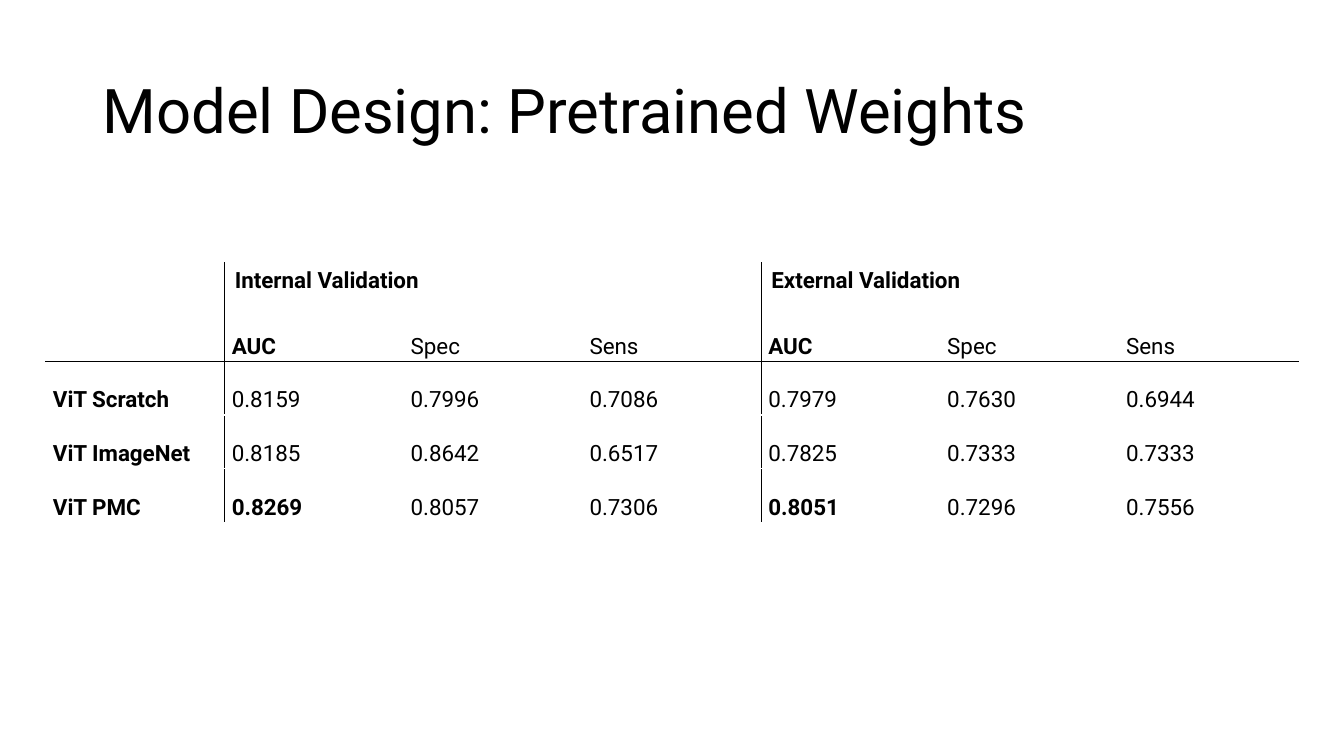
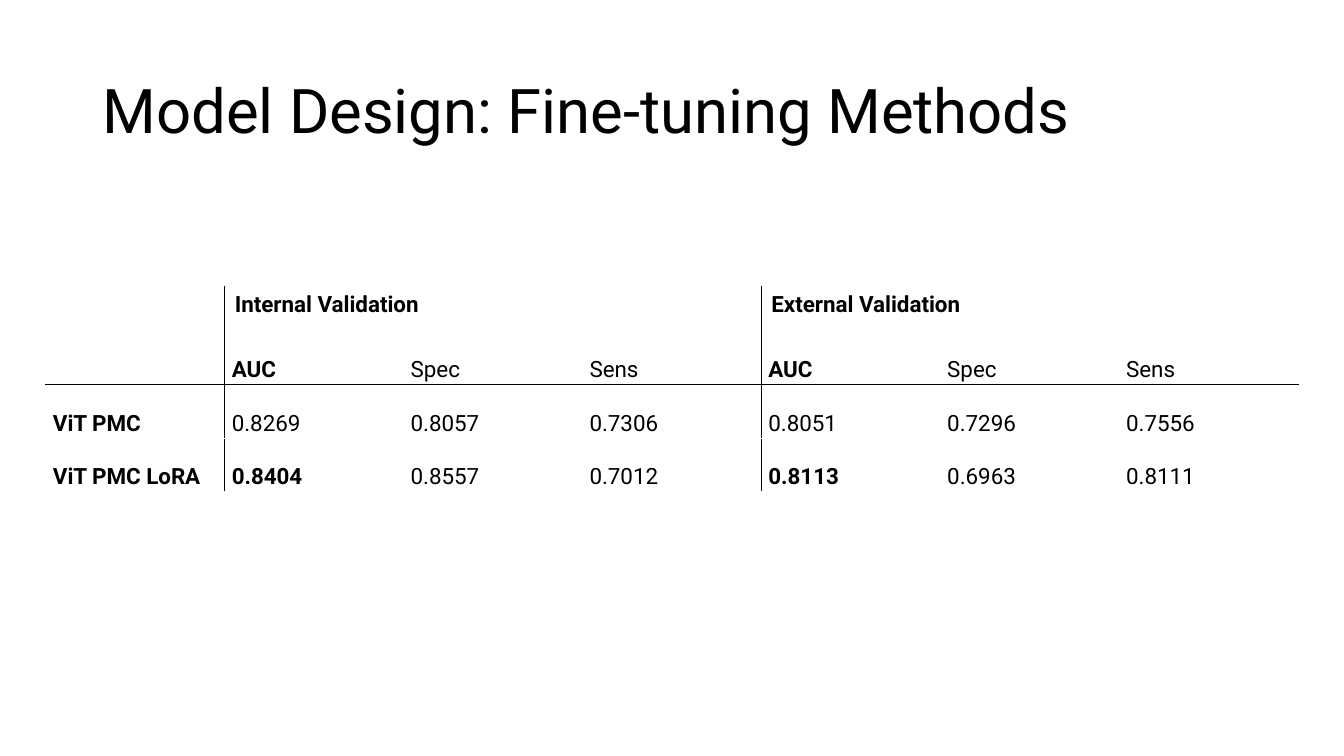
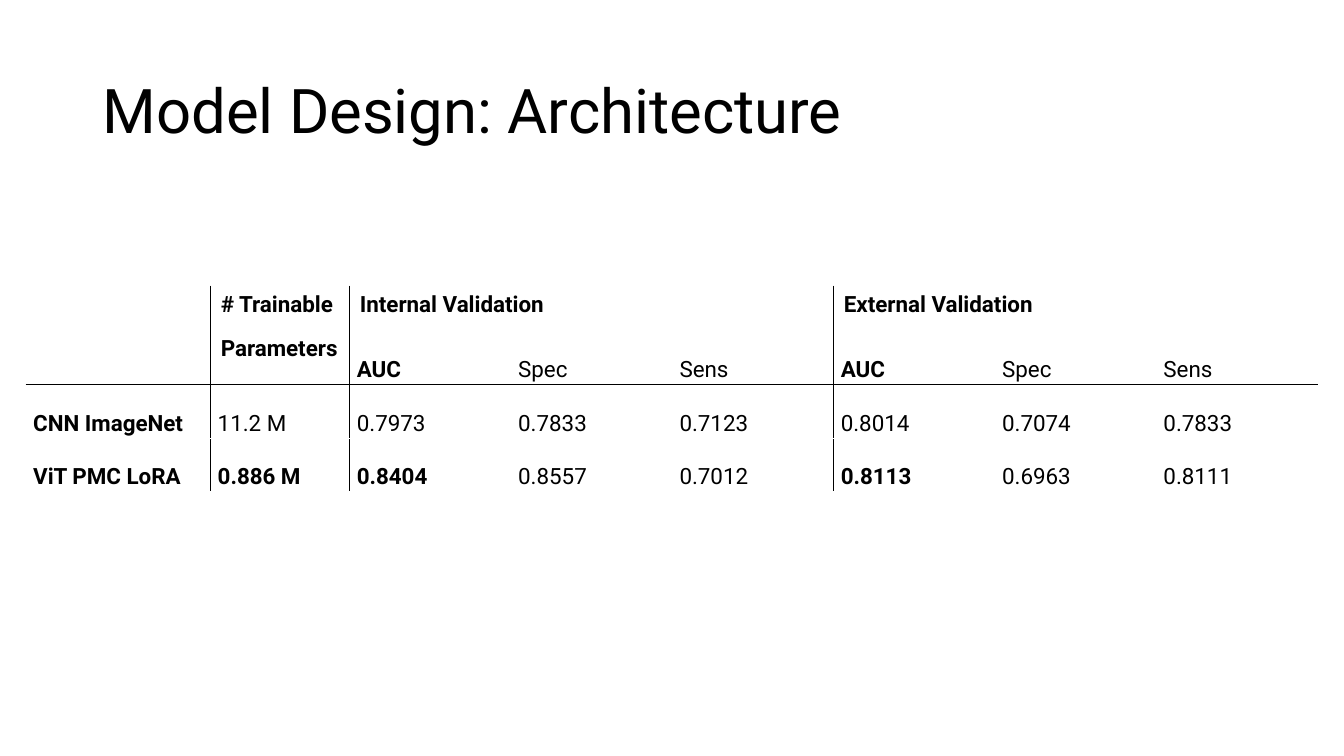
from lxml.etree import SubElement
from pptx import Presentation
from pptx.dml.color import RGBColor
from pptx.enum.text import MSO_ANCHOR, PP_ALIGN
from pptx.oxml.ns import qn
from pptx.util import Inches, Pt

WIDTH, HEIGHT = 13.33, 7.5
COLORS = {"ink": "000000", "paper": "FFFFFF"}
FONT = "Roboto"
ROW_HEIGHT = 0.44
NO_GRID_STYLE = "{2D5ABB26-0587-4C30-8999-92F81FD0307C}"
METRICS = ["AUC", "Spec", "Sens"]
KEY_COLUMNS = ("AUC", "Parameters")  # the best (last) row is bold here

# Each page: title, table top, label column widths, label headings, results
EQUAL = 12.42 / 7
PAGES = [
    ("Model Design: Pretrained Weights", 2.61, [EQUAL], EQUAL, [("", "")], [
        ["ViT Scratch", "0.8159", "0.7996", "0.7086", "0.7979", "0.7630", "0.6944"],
        ["ViT ImageNet", "0.8185", "0.8642", "0.6517", "0.7825", "0.7333", "0.7333"],
        ["ViT PMC", "0.8269", "0.8057", "0.7306", "0.8051", "0.7296", "0.7556"],
    ]),
    ("Model Design: Fine-tuning Methods", 2.84, [EQUAL], EQUAL, [("", "")], [
        ["ViT PMC", "0.8269", "0.8057", "0.7306", "0.8051", "0.7296", "0.7556"],
        ["ViT PMC LoRA", "0.8404", "0.8557", "0.7012", "0.8113", "0.6963", "0.8111"],
    ]),
    ("Model Design: Architecture", 2.84, [1.83, 1.38], 1.6,
     [("", ""), ("# Trainable", "Parameters")], [
        ["CNN ImageNet", "11.2 M", "0.7973", "0.7833", "0.7123", "0.8014", "0.7074", "0.7833"],
        ["ViT PMC LoRA", "0.886 M", "0.8404", "0.8557", "0.7012", "0.8113", "0.6963", "0.8111"],
    ]),
]


def add_text(para, text, size, bold=False):
    span = para.add_run()
    span.text = text
    span.font.name = FONT
    span.font.size = Pt(size)
    span.font.bold = bold
    span.font.color.rgb = RGBColor.from_string(COLORS["ink"])


def add_border(cell, side, color):
    line = SubElement(cell._tc.get_or_add_tcPr(), qn(f"a:ln{side}"), w=str(Pt(1)))
    if color is None:
        SubElement(line, qn("a:noFill"))
    else:
        fill = SubElement(line, qn("a:solidFill"))
        SubElement(fill, qn("a:srgbClr"), val=COLORS[color])


deck = Presentation()
deck.slide_width, deck.slide_height = Inches(WIDTH), Inches(HEIGHT)

for title, top, label_widths, metric_width, headings, results in PAGES:
    page = deck.slides.add_slide(deck.slide_layouts[6])

    # Title
    box = page.shapes.add_textbox(Inches(0.92), Inches(0.4), Inches(11.5), Inches(1.45))
    box.text_frame.word_wrap = True
    box.text_frame.vertical_anchor = MSO_ANCHOR.MIDDLE
    para = box.text_frame.paragraphs[0]
    para.line_spacing = 0.9
    add_text(para, title, 44)

    # Table contents and grid, centred on the page
    labels = len(headings)
    groups = ["Internal Validation", "", "", "External Validation", "", ""]
    rows = [[upper for upper, lower in headings] + groups,
            [lower for upper, lower in headings] + METRICS * 2] + results
    widths = label_widths + [metric_width] * 6
    frame = page.shapes.add_table(
        len(rows), len(widths), Inches((WIDTH - sum(widths)) / 2), Inches(top),
        Inches(sum(widths)), Inches(ROW_HEIGHT * len(rows)))
    table = frame.table
    table.first_row = table.horz_banding = False
    table._tbl.tblPr.find(qn("a:tableStyleId")).text = NO_GRID_STYLE
    for column, width in zip(table.columns, widths):
        column.width = Inches(width)
    for first in (labels, labels + 3):
        table.cell(0, first).merge(table.cell(0, first + 2))

    # Rules: after every label column, between the groups, under the header
    dark_edges = [*range(1, labels + 1), labels + 3]
    row_edges = ["paper", None, "ink"] + ["paper"] * len(results)

    for r, texts in enumerate(rows):
        table.rows[r].height = Inches(ROW_HEIGHT)
        for c, text in enumerate(texts):
            cell = table.cell(r, c)
            if cell.is_spanned:
                continue
            right = c + (cell.span_width if cell.is_merge_origin else 1)
            for side, edge in (("L", c), ("R", right)):
                add_border(cell, side, "ink" if edge in dark_edges else "paper")
            add_border(cell, "T", row_edges[r])
            add_border(cell, "B", row_edges[r + 1])
            cell.fill.background()
            if not text:
                continue

            para = cell.text_frame.paragraphs[0]
            if r > 1 or (r == 1 and c >= labels):
                cell.margin_left = cell.margin_right = Inches(0.07)
                cell.margin_top = cell.margin_bottom = 0
                para.line_spacing = 2.0
                para.space_after = Pt(8)
            if r > 1:
                para.alignment = PP_ALIGN.JUSTIFY
            is_key = rows[1][c] in KEY_COLUMNS and r in (1, len(rows) - 1)
            add_text(para, text, 16, bold=r == 0 or c == 0 or is_key)

deck.save("out.pptx")
